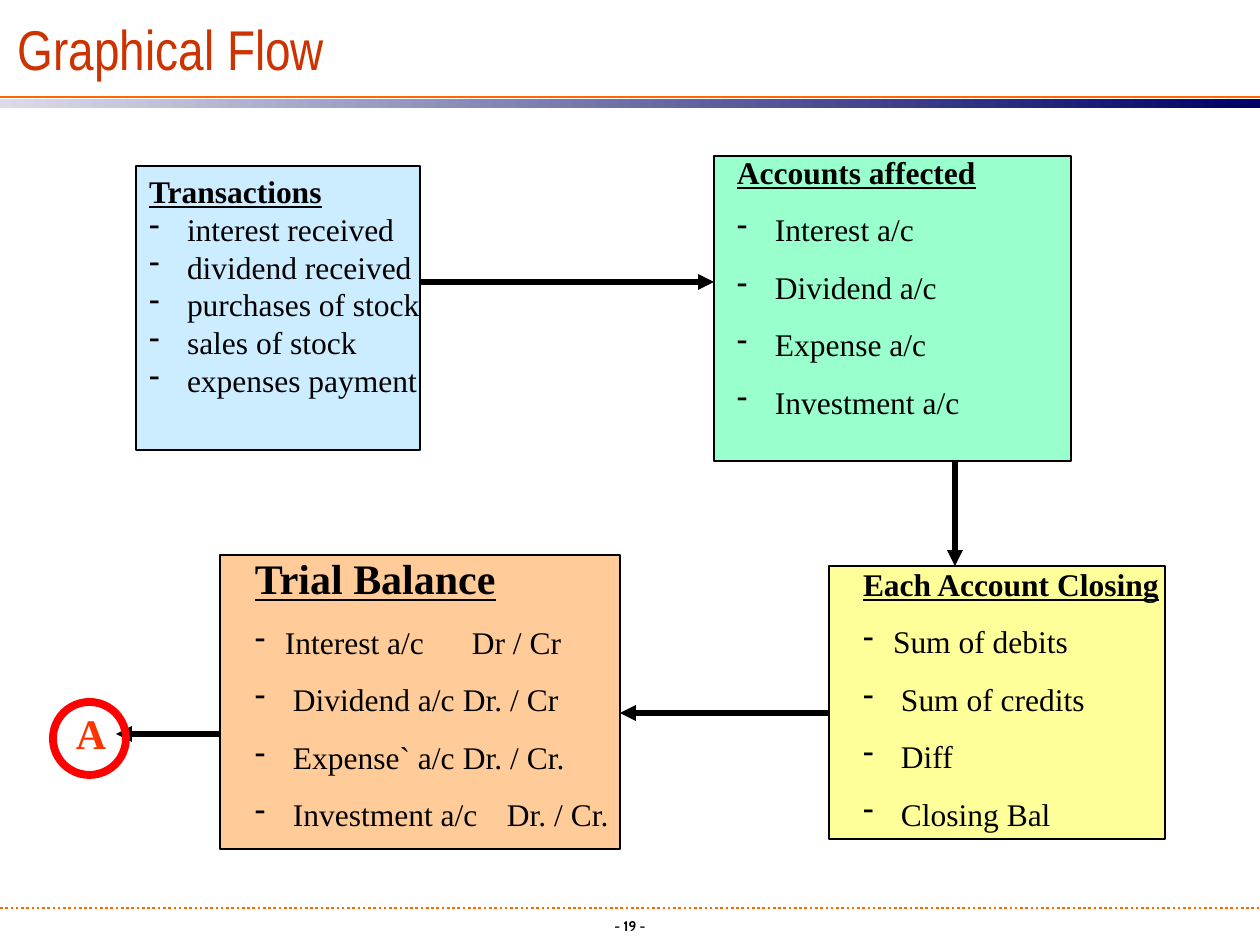
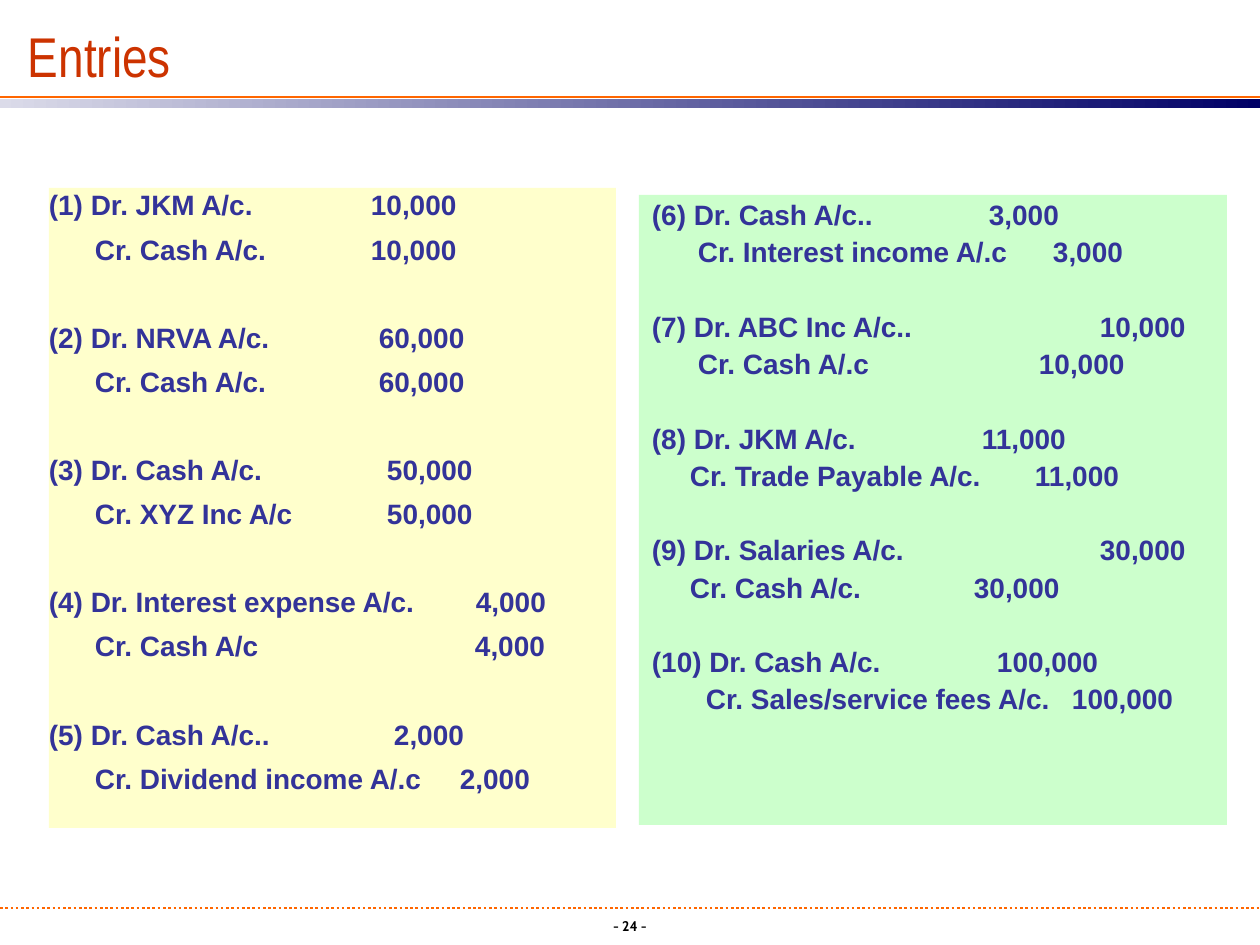
from lxml.etree import SubElement
from pptx import Presentation
from pptx.dml.color import RGBColor
from pptx.enum.dml import MSO_LINE
from pptx.enum.shapes import MSO_CONNECTOR, MSO_SHAPE
from pptx.enum.text import MSO_ANCHOR, PP_ALIGN
from pptx.oxml.ns import qn
from pptx.util import Emu, Pt

BLACK = RGBColor(0x00, 0x00, 0x00)
RED = RGBColor(0xFF, 0x00, 0x00)
SCARLET = RGBColor(0xFF, 0x33, 0x00)
ORANGE = RGBColor(0xFF, 0x66, 0x00)
RUST = RGBColor(0xCC, 0x33, 0x00)
NAVY = RGBColor(0x00, 0x00, 0x66)
MIST = RGBColor(0xDB, 0xDB, 0xE9)
INDIGO = RGBColor(0x33, 0x33, 0x99)
SKY = RGBColor(0xCC, 0xEC, 0xFF)
MINT = RGBColor(0x99, 0xFF, 0xCC)
LEMON = RGBColor(0xFF, 0xFF, 0x99)
PEACH = RGBColor(0xFF, 0xCC, 0x99)
CREAM = RGBColor(0xFF, 0xFF, 0xCC)
PALE_GREEN = RGBColor(0xCC, 0xFF, 0xCC)

SERIF, SANS, NARROW, PAGE_FONT = "Times New Roman", "Arial", "Arial Narrow", "Cabin"
PX = 914400 / 126
PAD = (13, 6)
LINE_RATIO = 1.2
WIDE_GAP, TIGHT_GAP = 38, 30

CARDS = [
    dict(box=(136, 166, 284, 284), text=(136, 166, 311, 239), fill=SKY,
         head="Transactions", size=18, before=0, first_gap=WIDE_GAP,
         items=["interest received", "dividend received", "purchases of stock",
                "sales of stock", "expenses payment"]),
    dict(box=(714, 156, 357, 305), text=(724, 147, 325, 338), fill=MINT,
         head="Accounts affected", size=18, before=11.2, first_gap=WIDE_GAP,
         items=["Interest a/c", "Dividend a/c", "Expense a/c", "Investment a/c"]),
    dict(box=(829, 566, 336, 273), text=(850, 559, 336, 338), fill=LEMON,
         head="Each Account Closing", size=18, before=11.2, first_gap=TIGHT_GAP,
         items=["Sum of debits", "Sum of credits", "Diff", "Closing Bal"]),
    dict(box=(220, 555, 400, 294), text=(242, 547, 399, 350), fill=PEACH,
         head="Trial Balance", size=24, before=11.2, first_gap=TIGHT_GAP,
         items=["Interest a/c\tDr / Cr", "Dividend a/c\tDr. / Cr",
                "Expense` a/c\tDr. / Cr.", "Investment a/c\tDr. / Cr."],
         tabs=[247, 246, 246, 253]),
]
ARROWS = [
    ((420, 282), (714, 282)),
    ((955, 461), (955, 566)),
    ((829, 713), (620, 713)),
    ((220, 734), (116, 734)),
]
MARKER = dict(text="A", box=(63, 702, 116, 63), ring=(53, 702, 73, 73))

LEDGERS = [
    dict(box=(49, 188, 567, 640), fill=CREAM, pad=(0, 0), before=6, spacing=1, entries=[
        ("(1) Dr. JKM A/c.", 322, "10,000", 46, "Cr. Cash A/c.", 322, "10,000"),
        ("(2) Dr. NRVA A/c.", 330, "60,000", 46, "Cr. Cash A/c.", 330, "60,000"),
        ("(3) Dr. Cash A/c.", 338, "50,000", 46, "Cr. XYZ Inc A/c", 338, "50,000"),
        ("(4) Dr. Interest expense A/c.", 427, "4,000", 46, "Cr. Cash A/c", 426, "4,000"),
        ("(5) Dr. Cash A/c..", 345, "2,000", 46, "Cr. Dividend income A/.c", 411, "2,000"),
    ]),
    dict(box=(639, 195, 588, 630), fill=PALE_GREEN, pad=PAD, before=4, spacing=0.9, entries=[
        ("(6) Dr. Cash A/c..", 337, "3,000", 46, "Cr. Interest income A/.c", 401, "3,000"),
        ("(7) Dr. ABC Inc A/c..", 448, "10,000", 46, "Cr. Cash A/.c", 387, "10,000"),
        ("(8) Dr. JKM A/c.", 330, "11,000", 38, "Cr. Trade Payable A/c.", 383, "11,000"),
        ("(9) Dr. Salaries A/c.", 448, "30,000", 38, "Cr. Cash A/c.", 322, "30,000"),
        ("(10) Dr. Cash A/c.", 345, "100,000", 54, "Cr. Sales/service fees A/c.", 420, "100,000"),
    ]),
]


def px(n):
    return Emu(round(n * PX))


def set_up_frame(tf, pad, anchor=MSO_ANCHOR.TOP):
    tf.word_wrap = True
    tf.vertical_anchor = anchor
    tf.margin_left = tf.margin_right = px(pad[0])
    tf.margin_top = tf.margin_bottom = px(pad[1])
    return tf


def add_text_box(s, box, pad=PAD, anchor=MSO_ANCHOR.TOP):
    return set_up_frame(s.shapes.add_textbox(*map(px, box)).text_frame, pad, anchor)


def add_paragraph(tf, text, size, font, color, bold=False, underline=False,
                  before=0, spacing=1, gap=0, tabs=()):
    first = not tf.paragraphs[0].runs
    p = tf.paragraphs[0] if first else tf.add_paragraph()
    pPr = p._p.get_or_add_pPr()
    p.alignment = PP_ALIGN.LEFT
    if gap:
        pPr.set("marL", str(px(gap)))
        pPr.set("indent", str(px(-gap)))
        SubElement(pPr, qn("a:buChar"), char="-")
    if tabs:
        tab_list = SubElement(pPr, qn("a:tabLst"))
        for tab in tabs:
            SubElement(tab_list, qn("a:tab"), pos=str(px(tab)), algn="l")
    p.line_spacing = Pt(size * LINE_RATIO * spacing)
    p.space_before = Pt(0 if first else before)
    r = p.add_run()
    r.text = text
    r.font.size, r.font.bold, r.font.underline = Pt(size), bold, underline
    r.font.color.rgb = color
    r.font.name = font
    return p


def add_preset(s, kind, box, fill=None, line=None, width=0.75):
    sp = s.shapes.add_shape(kind, *map(px, box))
    sp.shadow.inherit = False
    if fill is None:
        sp.fill.background()
    else:
        sp.fill.solid()
        sp.fill.fore_color.rgb = fill
    if line is None:
        sp.line.fill.background()
    else:
        sp.line.color.rgb = line
        sp.line.width = Pt(width)
    return sp


def add_line(s, start, end, color, width, dash=None, arrow=False):
    c = s.shapes.add_connector(MSO_CONNECTOR.STRAIGHT, *map(px, start + end))
    c.line.color.rgb = color
    c.line.width = Pt(width)
    if dash:
        c.line.dash_style = dash
    if arrow:
        SubElement(c.line._get_or_add_ln(), qn("a:tailEnd"), type="triangle")
    SubElement(c._element.spPr, qn("a:effectLst"))


def add_title_shadow(r):
    effects = SubElement(r._r.get_or_add_rPr(), qn("a:effectLst"))
    shadow = SubElement(effects, qn("a:outerShdw"), dist=str(px(3)), dir="2700000")
    SubElement(shadow, qn("a:srgbClr"), val="999999")
    r.font._element.find(qn("a:solidFill")).addnext(effects)


def add_slide(prs, title, title_box, number):
    s = prs.slides.add_slide(prs.slide_layouts[6])
    add_line(s, (0, 908), (1260, 908), ORANGE, 1.5, dash=MSO_LINE.ROUND_DOT)
    band = add_preset(s, MSO_SHAPE.RECTANGLE, (0, 99, 1260, 9), MIST)
    band.fill.gradient()
    band.fill.gradient_angle = 0
    for stop, color in zip(band.fill.gradient_stops, (MIST, NAVY)):
        stop.color.rgb = color
    add_line(s, (-2, 97), (1260, 97), ORANGE, 1.5)
    tf = add_text_box(s, (499, 911, 262, 34))
    add_paragraph(tf, f"- {number} -", 8, PAGE_FONT, BLACK, bold=True).alignment = PP_ALIGN.CENTER
    tf = add_text_box(s, title_box, (0, 0), MSO_ANCHOR.BOTTOM)
    p = add_paragraph(tf, title, 32, NARROW, RUST)
    add_title_shadow(p.runs[0])
    return s


def add_card(s, card):
    add_preset(s, MSO_SHAPE.RECTANGLE, card["box"], card["fill"], BLACK)
    tf = add_text_box(s, card["text"])
    add_paragraph(tf, card["head"], card["size"], SERIF, BLACK, bold=True, underline=True)
    for i, item in enumerate(card["items"]):
        gap = WIDE_GAP if i else card["first_gap"]
        tabs = [card["tabs"][i] - gap] if "tabs" in card else []
        add_paragraph(tf, item, 18, SERIF, BLACK, before=card["before"], gap=gap, tabs=tabs)


def add_ledger(s, ledger):
    sp = add_preset(s, MSO_SHAPE.RECTANGLE, ledger["box"], ledger["fill"])
    tf = set_up_frame(sp.text_frame, ledger["pad"])
    size, before, spacing = 16, ledger["before"], ledger["spacing"]
    entry_gap = 2 * before + size * LINE_RATIO * spacing
    for debit, debit_x, debit_sum, indent, credit, credit_x, credit_sum in ledger["entries"]:
        add_paragraph(tf, f"{debit}\t{debit_sum}", size, SANS, INDIGO, bold=True,
                      before=entry_gap, spacing=spacing, tabs=[debit_x])
        add_paragraph(tf, f"\t{credit}\t{credit_sum}", size, SANS, INDIGO, bold=True,
                      before=before, spacing=spacing, tabs=[indent, credit_x])


def main():
    prs = Presentation()
    prs.slide_width, prs.slide_height = px(1260), px(945)

    s = add_slide(prs, "Graphical Flow", (18, 18, 1071, 64), 19)
    for card in CARDS:
        add_card(s, card)
    for start, end in ARROWS:
        add_line(s, start, end, BLACK, 3, arrow=True)
    tf = add_text_box(s, MARKER["box"])
    add_paragraph(tf, MARKER["text"], 24, SERIF, SCARLET, bold=True)
    add_preset(s, MSO_SHAPE.OVAL, MARKER["ring"], line=RED, width=4.5)

    s = add_slide(prs, "Entries", (28, 21, 1071, 68), 24)
    for ledger in LEDGERS:
        add_ledger(s, ledger)

    prs.save("out.pptx")


if __name__ == "__main__":
    main()
